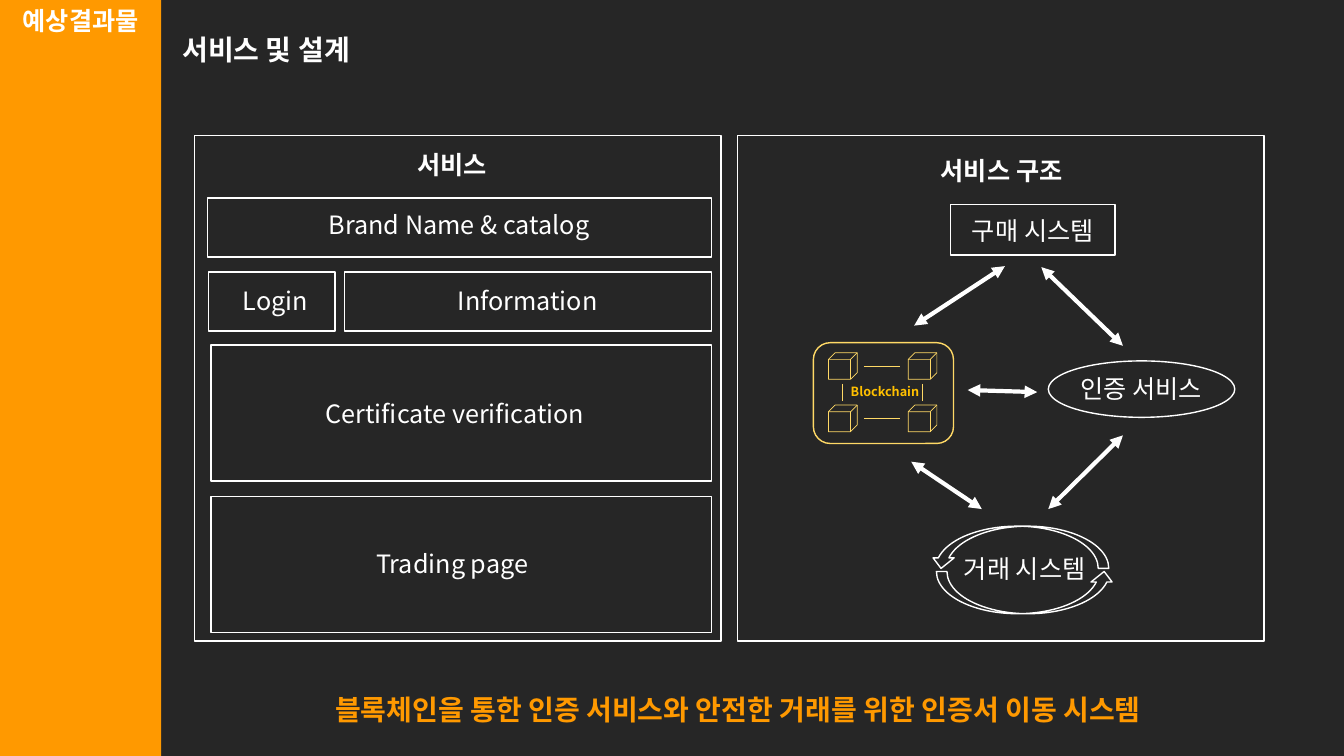
import pptx
import pptx.util
import pptx.dml.color
import pptx.enum.shapes
import pptx.enum.text
import pptx.oxml
import pptx.oxml.ns

Pt = pptx.util.Pt
Kind = pptx.enum.shapes.MSO_SHAPE
Align = pptx.enum.text.PP_ALIGN
Fit = pptx.enum.text.MSO_AUTO_SIZE

WHITE, ORANGE, GOLD, PALE = "FFFFFF", "FF9900", "FFC000", "FFD966"


def color(code):
    return pptx.dml.color.RGBColor.from_string(code)


def node(tag, attrs=""):
    return pptx.oxml.parse_xml(f"<a:{tag} {pptx.oxml.ns.nsdecls('a')} {attrs}/>")


class Page:
    """Draws styled elements on one slide, with all lengths in points."""

    face = "Noto Sans CJK KR"

    def __init__(self, deck, back):
        self.slide = deck.slides.add_slide(deck.slide_layouts[6])
        self.slide.background.fill.solid()
        self.slide.background.fill.fore_color.rgb = color(back)

    def text(self, words, x, y, w, h, size=18, ink=WHITE, bold=False,
             align=Align.CENTER, space=None, wrap=True):
        box = self.slide.shapes.add_textbox(Pt(x), Pt(y), Pt(w), Pt(h))
        frame = box.text_frame
        para = frame.paragraphs[0]
        run = para.add_run()
        run.text = words
        run.font.color.rgb = color(ink)
        looks = [
            (frame, {"word_wrap": wrap, "auto_size": Fit.SHAPE_TO_FIT_TEXT}),
            (para, {"alignment": align, "line_spacing": space}),
            (run.font, {"name": self.face, "size": Pt(size), "bold": bold}),
        ]
        for part, values in looks:
            for key, value in values.items():
                setattr(part, key, value)
        run._r.get_or_add_rPr().append(node("ea", f'typeface="{self.face}"'))

    def shape(self, kind, x, y, w, h, fill=None, line=WHITE, width=1, turn=0):
        item = self.slide.shapes.add_shape(kind, Pt(x), Pt(y), Pt(w), Pt(h))
        item.shadow.inherit = False
        item.rotation = turn
        if fill:
            item.fill.solid()
            item.fill.fore_color.rgb = color(fill)
        else:
            item.fill.background()
        if line:
            item.line.color.rgb = color(line)
            item.line.width = Pt(width)
        else:
            item.line.fill.background()

    def line(self, x1, y1, x2, y2, ink=PALE, width=0.5, heads=False):
        item = self.slide.shapes.add_connector(
            pptx.enum.shapes.MSO_CONNECTOR.STRAIGHT, Pt(x1), Pt(y1), Pt(x2), Pt(y2))
        item.line.color.rgb = color(ink)
        item.line.width = Pt(width)
        if heads:
            for end in ("headEnd", "tailEnd"):
                item.line._get_or_add_ln().append(node(end, 'type="triangle"'))
        item._element.spPr.append(node("effectLst"))

    def arrow(self, *ends):
        self.line(*ends, ink=WHITE, width=3, heads=True)


def frame(page):
    page.shape(Kind.RECTANGLE, 0, 0, 115.2, 540, fill=ORANGE, line=None)
    page.text("예상결과물", 5, 0, 105.2, 29, bold=True, wrap=False)
    page.text("서비스 및 설계", 123.1, 8, 808.6, 39, size=20, bold=True,
              align=Align.JUSTIFY, space=1.5)
    page.text("블록체인을 통한 인증 서비스와 안전한 거래를 위한 인증서 이동 시스템 ",
              127.4, 479, 804.2, 39, size=20, ink=ORANGE, bold=True, space=1.5)
    for x in (139, 527):
        page.shape(Kind.RECTANGLE, x, 97, 376, 361)


def service(page):
    page.text("서비스", 258.5, 103, 129, 29, bold=True)
    rows = [
        ("Brand Name & catalog", 148.3, 141.6, 360, 42, 223.2, 146.2, 209.5),
        ("Login", 148.8, 194.4, 90.4, 42, 166.3, 200, 62.6),
        ("Information", 246.2, 194.4, 262, 42, 313.2, 200, 127.4),
        ("Certificate verification", 150.8, 246.5, 357.4, 97.2, 220.3, 281, 209.5),
        ("Trading page", 150.8, 354.8, 357.4, 97.2, 218.2, 388.2, 209.5),
    ]
    for words, x, y, w, h, left, top, wide in rows:
        page.shape(Kind.RECTANGLE, x, y, w, h)
        align = Align.LEFT if words == "Login" else Align.CENTER
        page.text(words, left, top, wide, 29, align=align)


def chain(page):
    page.text("Blockchain", 599, 270.7, 66.2, 18, size=9, ink=GOLD, bold=True)
    for y in (252, 289.4):
        for x in (591.8, 648.7):
            page.shape(Kind.CUBE, x, y, 20.5, 19, line=PALE, width=0.5)
        page.line(617, y + 9.4, 643, y + 9.4)
    for x in (602, 658.8):
        page.line(x, 274.3, x, 286.2)
    page.shape(Kind.ROUNDED_RECTANGLE, 581, 244.8, 100.1, 72, line=PALE)


def system(page):
    page.text("서비스 구조 ", 653, 107.3, 129, 29, bold=True)
    chain(page)
    page.text("구매 시스템", 673.2, 150.5, 129, 29)
    page.shape(Kind.RECTANGLE, 679, 146.2, 117.4, 36)
    page.text("인증 서비스", 758.9, 262.8, 112.3, 29)
    page.shape(Kind.OVAL, 748.8, 257.8, 133.2, 40.3)
    page.text("거래 시스템", 673.2, 391.7, 117.4, 29)
    for x, y, turn in ((668.9, 408.2, 0), (664.6, 375.8, 180)):
        page.shape(Kind.CURVED_UP_ARROW, x, y, 127.4, 30.2, turn=turn)
    for ends in (
        (653, 232.6, 717.8, 190.1),
        (691.2, 278.6, 740.9, 280.1),
        (743.8, 190.8, 802.1, 247),
        (802.1, 311, 748.8, 363.6),
        (650.9, 329.8, 701.3, 363.6),
    ):
        page.arrow(*ends)


def main():
    deck = pptx.Presentation()
    deck.slide_width, deck.slide_height = Pt(960), Pt(540)
    page = Page(deck, "262626")
    for part in (frame, service, system):
        part(page)
    deck.save("out.pptx")


if __name__ == "__main__":
    main()
